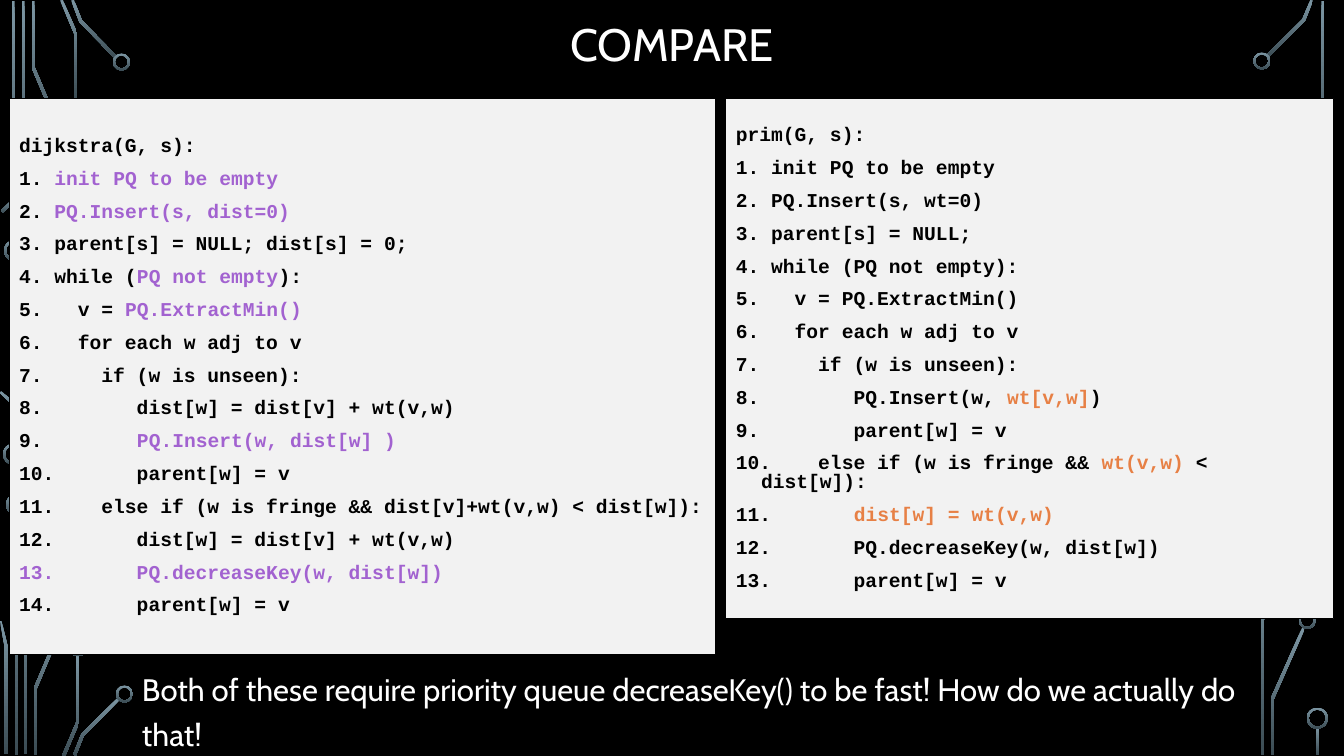
from itertools import pairwise

from pptx import Presentation
from pptx.dml.color import RGBColor
from pptx.enum.shapes import MSO_SHAPE
from pptx.enum.text import MSO_ANCHOR, MSO_AUTO_SIZE, PP_ALIGN
from pptx.util import Pt

PX = 9144
BLACK = RGBColor(0x00, 0x00, 0x00)
WHITE = RGBColor(0xFF, 0xFF, 0xFF)
PAPER = RGBColor(0xF2, 0xF2, 0xF2)
PURPLE = RGBColor(0xA2, 0x62, 0xD0)
ORANGE = RGBColor(0xE7, 0x80, 0x45)
TRACE_TOP = RGBColor(0x7C, 0x96, 0xA3)
TRACE_BOTTOM = RGBColor(0x3B, 0x4C, 0x54)

TRACE_WIDTH = 3
RING_WIDTH = 2
HANGING_INDENT = 25

TRACES = [
    [(13, 1), (13, 240)],
    [(23, 1), (23, 109), (61, 199)],
    [(33, 1), (33, 67), (71, 157)],
    [(61, 0), (75, 33), (75, 100)],
    [(72, 0), (80, 21), (115, 57)],
    [(2, 210), (14, 198)],
    [(0, 389), (14, 401), (14, 441)],
    [(16, 510), (16, 749)],
    [(63, 551), (25, 641), (25, 748)],
    [(0, 616), (6, 641), (6, 748)],
    [(73, 593), (35, 683), (35, 749)],
    [(77, 650), (77, 717), (63, 750)],
    [(118, 693), (82, 729), (74, 749)],
    [(1301, 0), (1293, 20), (1257, 56)],
    [(1293, 623), (1262, 693), (1262, 749)],
    [(1312, 1), (1312, 107), (1282, 138), (1282, 169)],
    [(1283, 552), (1283, 583), (1252, 614), (1252, 749)],
    [(1307, 721), (1307, 749)],
]

RINGS = [
    (4, 238, 21), (3, 440, 21), (6, 490, 21), (67, 630, 21), (1296, 702, 21),
    (112, 53, 17), (115, 680, 17), (1243, 52, 17), (1288, 607, 17),
]

# Each line alternates plain and highlighted text.
PRIM = [
    ("prim(G, s):",),
    ("1. init PQ to be empty",),
    ("2. PQ.Insert(s, wt=0)",),
    ("3. parent[s] = NULL;",),
    ("4. while (PQ not empty):",),
    ("5.   v = PQ.ExtractMin()",),
    ("6.   for each w adj to v",),
    ("7.     if (w is unseen):",),
    ("8.        PQ.Insert(w, ", "wt[v,w]", ")"),
    ("9.        parent[w] = v",),
    ("10.    else if (w is fringe && ", "wt(v,w)", " < dist[w]):"),
    ("11.       ", "dist[w] = wt(v,w)"),
    ("12.       PQ.decreaseKey(w, dist[w])",),
    ("13.       parent[w] = v",),
]

DIJKSTRA = [
    ("dijkstra(G, s):",),
    ("1. ", "init PQ to be empty"),
    ("2. ", "PQ.Insert(s, dist=0)"),
    ("3. parent[s] = NULL; dist[s] = 0;",),
    ("4. while (", "PQ not empty", "):"),
    ("5.   v = ", "PQ.ExtractMin()"),
    ("6.   for each w adj to v",),
    ("7.     if (w is unseen):",),
    ("8.        dist[w] = dist[v] + wt(v,w)",),
    ("9.        ", "PQ.Insert(w, dist[w] )"),
    ("10.       parent[w] = v",),
    ("11.    else if (w is fringe && dist[v]+wt(v,w) < dist[w]):",),
    ("12.       dist[w] = dist[v] + wt(v,w)",),
    ("", "13.       PQ.decreaseKey(w, dist[w])"),
    ("14.       parent[w] = v",),
]


def scaled(box):
    return [length * PX for length in box]


def add_span(para, text, font, size, color, bold=False):
    span = para.add_run()
    span.text = text
    span.font.name = font
    span.font.size = Pt(size)
    span.font.bold = bold
    span.font.color.rgb = color


def paint_trace(shape):
    shape.shadow.inherit = False
    shape.line.fill.background()
    shape.fill.gradient()
    shape.fill.gradient_angle = 270
    for stop, color in zip(shape.fill.gradient_stops, (TRACE_TOP, TRACE_BOTTOM)):
        stop.color.rgb = color


def add_trace(page, points):
    centers = [complex(*point) for point in points]
    normals = [1j * (b - a) / abs(b - a) for a, b in pairwise(centers)]
    before = normals[:1] + normals
    after = normals + normals[-1:]
    offsets = [
        (a + b) / (1 + (a * b.conjugate()).real) * TRACE_WIDTH / 2
        for a, b in zip(before, after)
    ]
    near = [center + offset for center, offset in zip(centers, offsets)]
    far = [center - offset for center, offset in zip(centers, offsets)]
    outline = [(max(p.real, 0) * PX, max(p.imag, 0) * PX) for p in near + far[::-1]]
    builder = page.shapes.build_freeform(*outline[0])
    builder.add_line_segments(outline[1:], close=True)
    paint_trace(builder.convert_to_shape())


def add_ring(page, left, top, size):
    ring = page.shapes.add_shape(MSO_SHAPE.DONUT, *scaled((left, top, size, size)))
    ring.adjustments[0] = RING_WIDTH / size
    paint_trace(ring)


def add_circuit(page):
    for points in TRACES:
        add_trace(page, points)
    for ring in RINGS:
        add_ring(page, *ring)


def add_title(page, box, text):
    title = page.shapes.title
    title.left, title.top, title.width, title.height = scaled(box)
    frame = title.text_frame
    frame.auto_size = MSO_AUTO_SIZE.NONE
    frame.vertical_anchor = MSO_ANCHOR.MIDDLE
    para = frame.paragraphs[0]
    para.alignment = PP_ALIGN.CENTER
    para.line_spacing = 0.9
    add_span(para, text, "Cabin", 32.4, WHITE)


def add_remark(page, box, text):
    frame = page.shapes.add_textbox(*scaled(box)).text_frame
    frame.word_wrap = True
    para = frame.paragraphs[0]
    para.line_spacing = 1.2
    add_span(para, text, "Cabin", 22.2, WHITE)


def add_code_panel(page, box, lines, highlight):
    panel = page.shapes.add_shape(MSO_SHAPE.RECTANGLE, *scaled(box))
    panel.shadow.inherit = False
    panel.fill.solid()
    panel.fill.fore_color.rgb = PAPER
    panel.line.color.rgb = BLACK
    panel.line.width = Pt(0.75)
    frame = panel.text_frame
    frame.word_wrap = True
    frame.vertical_anchor = MSO_ANCHOR.MIDDLE
    for number, line in enumerate(lines):
        para = frame.add_paragraph() if number else frame.paragraphs[0]
        para.alignment = PP_ALIGN.LEFT
        para.line_spacing = 0.8
        para.space_before = Pt(10 if number else 0)
        properties = para._p.get_or_add_pPr()
        properties.set("marL", str(HANGING_INDENT * PX))
        properties.set("indent", str(-HANGING_INDENT * PX))
        for position, text in enumerate(line):
            if text:
                color = highlight if position % 2 else BLACK
                add_span(para, text, "Courier New", 14, color, bold=True)


def main():
    deck = Presentation()
    deck.slide_width, deck.slide_height = scaled((1333, 750))
    page = deck.slides.add_slide(deck.slide_layouts[5])
    page.background.fill.solid()
    page.background.fill.fore_color.rgb = BLACK
    add_circuit(page)
    add_title(page, (125, 17, 1083, 59), "COMPARE")
    add_remark(
        page, (131, 653, 1159, 59),
        "Both of these require priority queue decreaseKey() to be fast! "
        "How do we actually do that!",
    )
    add_code_panel(page, (720, 98, 603, 516), PRIM, ORANGE)
    add_code_panel(page, (9, 98, 701, 551), DIJKSTRA, PURPLE)
    deck.save("out.pptx")


if __name__ == "__main__":
    main()
